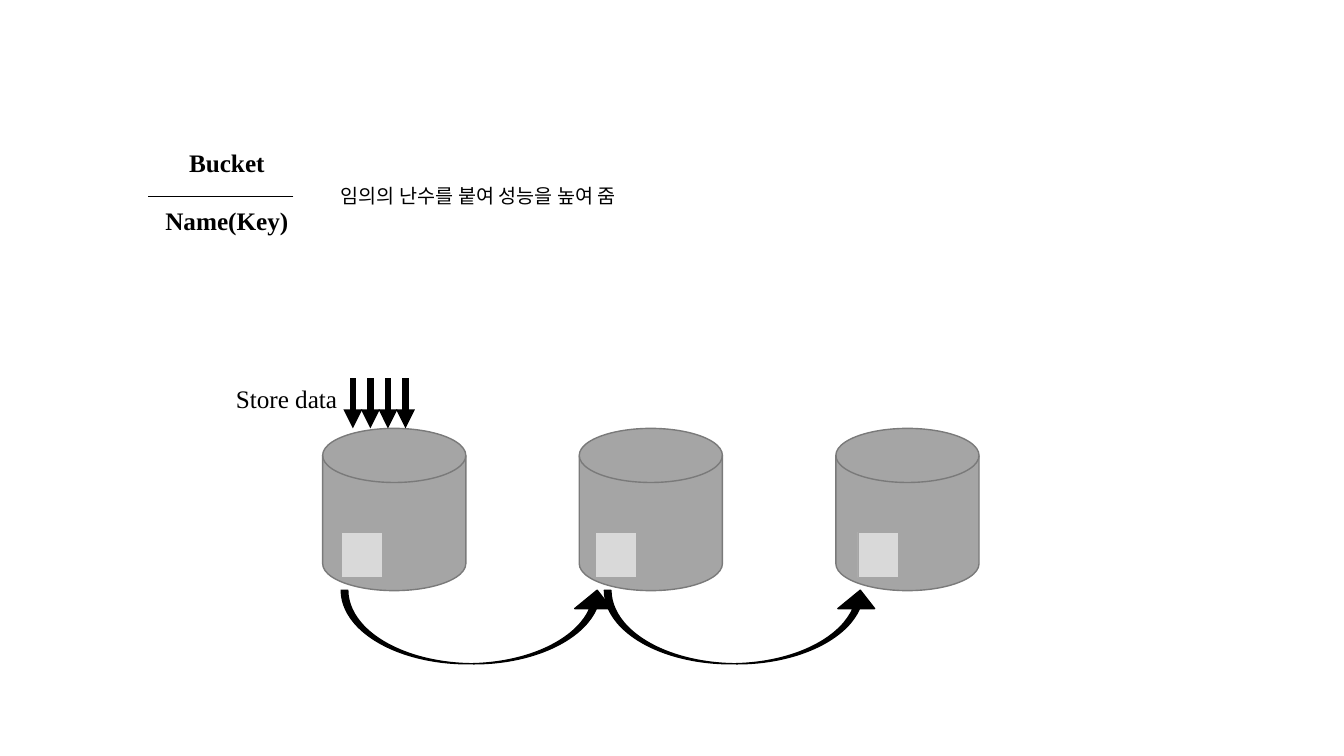
from lxml.etree import SubElement
from pptx import Presentation
from pptx.dml.color import RGBColor
from pptx.enum.shapes import MSO_CONNECTOR as Connector, MSO_SHAPE as Preset
from pptx.enum.text import MSO_AUTO_SIZE as AutoSize, PP_ALIGN as Align
from pptx.oxml.ns import qn
from pptx.util import Inches, Pt

COLORS = {"ink": "000000", "disk": "A5A5A5", "disk_edge": "7A7A7A", "block": "D9D9D9"}
LATIN, KOREAN = "Times New Roman", "Noto Sans CJK KR"


def color(name):
    """Return the palette colour of that name."""
    return RGBColor.from_string(COLORS[name])


def add_preset(slide, preset, box, fill, edge, weight=1):
    """Add a filled and outlined preset shape in box (left, top, width, height)."""
    shape = slide.shapes.add_shape(preset, *map(Inches, box))
    shape.shadow.inherit = False
    shape.fill.solid()
    shape.fill.fore_color.rgb = color(fill)
    shape.line.color.rgb = color(edge)
    shape.line.width = Pt(weight)
    return shape


def add_label(slide, text, box, size=18, font=LATIN, bold=False, align=Align.CENTER):
    """Add a one-line text label in box."""
    label = slide.shapes.add_textbox(*map(Inches, box))
    frame = label.text_frame
    frame.word_wrap = False
    frame.auto_size = AutoSize.SHAPE_TO_FIT_TEXT
    paragraph = frame.paragraphs[0]
    run = paragraph.add_run()
    run.text = text
    paragraph.alignment = align
    paragraph.font.size = Pt(size)
    paragraph.font.bold = bold
    paragraph.font.color.rgb = color("ink")
    run.font.name = font
    SubElement(run.font._element, qn("a:ea"), typeface=font)


def add_line(slide, start, end, weight, arrow=False):
    """Add a straight black line, with an arrowhead at its end if asked."""
    line = slide.shapes.add_connector(Connector.STRAIGHT, *map(Inches, start + end))
    line.line.color.rgb = color("ink")
    line.line.width = Pt(weight)
    if arrow:
        SubElement(line.line._get_or_add_ln(), qn("a:tailEnd"), type="triangle")
    SubElement(line._element.spPr, qn("a:effectLst"))


def add_object_key(slide, left, top):
    """Draw the bucket over its key, with the remark beside them."""
    add_label(slide, "Bucket", (left + 0.3, top, 0.96, 0.4), bold=True)
    add_label(slide, "Name(Key)", (left + 0.06, top + 0.58, 1.44, 0.4), bold=True)
    add_line(slide, (left + 1.44, top + 0.54), (left, top + 0.54), 0.5)
    add_label(slide, "임의의 난수를 붙여 성능을 높여 줌",
              (left + 1.63, top + 0.37, 3.29, 0.34), size=14, font=KOREAN)


def add_store_arrows(slide, left, top):
    """Draw the label and the four arrows that write to the first disk."""
    add_label(slide, "Store data", (left, top, 1.22, 0.4), align=Align.LEFT)
    for index in range(4):
        x = left + 1.26 + index * 0.174
        add_line(slide, (x, top), (x, top + 0.5), 4.5, arrow=True)


def add_replicas(slide, left, top):
    """Draw three disks, the data block in each and the copy arrows between."""
    for index in range(3):
        add_preset(slide, Preset.FLOWCHART_MAGNETIC_DISK,
                   (left + index * 2.545, top, 1.42, 1.61), "disk", "disk_edge")
    for index in range(2):
        arrow = add_preset(slide, Preset.CURVED_RIGHT_ARROW,
                           (left + 1.18 + index * 2.61, top + 0.61, 0.73, 2.72), "ink", "ink")
        arrow.rotation = 270
        for position, value in enumerate((0.088, 0.5, 0.25)):
            arrow.adjustments[position] = value
    for offset in (0.19, 2.71, 5.31):
        add_preset(slide, Preset.RECTANGLE,
                   (left + offset, top + 1.03, 0.4, 0.45), "block", "disk", 0.5)


presentation = Presentation()
presentation.slide_width, presentation.slide_height = Inches(13.33), Inches(7.5)
slide = presentation.slides.add_slide(presentation.slide_layouts[6])
add_object_key(slide, 1.47, 1.41)
add_replicas(slide, 3.2, 4.25)
add_store_arrows(slide, 2.24, 3.75)
presentation.save("out.pptx")
